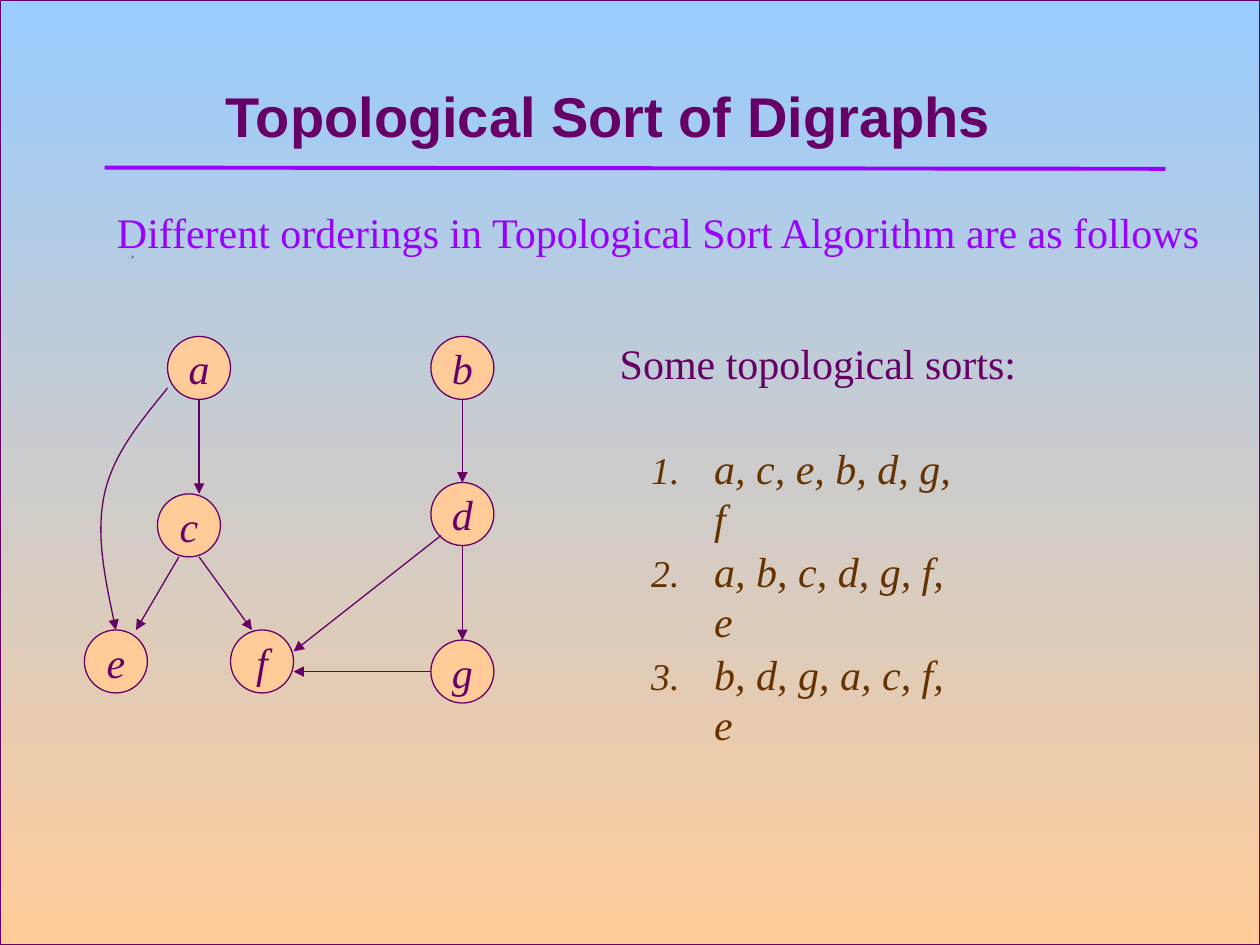
from lxml.etree import SubElement
from pptx import Presentation
from pptx.dml.color import RGBColor
from pptx.enum.shapes import MSO_CONNECTOR, MSO_SHAPE
from pptx.enum.text import MSO_ANCHOR, PP_ALIGN
from pptx.oxml.ns import qn
from pptx.util import Inches, Pt

PURPLE, VIOLET, BROWN = "660066", "9900FF", "663300"
SKY, PEACH = "99CCFF", "FFCC99"
NODE_SIZE = 0.5

NODES = {"a": (1.33, 2.67), "c": (1.25, 3.92), "e": (0.67, 5), "f": (1.83, 5),
         "b": (3.42, 2.67), "d": (3.42, 3.83), "g": (3.42, 5.08)}
EDGES = [
    ((3.67, 3.17), (3.67, 3.83)),  # b to d
    ((3.67, 4.33), (3.67, 5.08)),  # d to g
    ((3.5, 4.25), (2.33, 5.17)),   # d to f
    ((3.42, 5.33), (2.33, 5.33)),  # g to f
    ((1.58, 3.17), (1.58, 3.92)),  # a to c
    ((1.42, 4.42), (1.08, 5)),     # c to e
    ((1.58, 4.42), (2, 5)),        # c to f
]
CURVE_A_TO_E = [(1.33, 3.08), (1.12, 3.34), (0.9, 3.6), (0.83, 3.92),
                (0.76, 4.24), (0.84, 4.62), (0.92, 5)]
SPECKS = [(1.02, 2.03, 0.04, 0.02, "284C70"),
          (1.02, 2.03, 0.03, 0.02, "BFCCD8"),
          (1.63, 1.99, 0.05, 0.03, "BFCCD8")]
SORTS = ["a, c, e, b, d, g, f", "a, b, c, d, g, f, e", "b, d, g, a, c, f, e"]


def rgb(value):
    return RGBColor.from_string(value)


class SlideBuilder:
    text_format = {"name": "Times New Roman", "size": Pt(24)}

    def __init__(self, slide):
        self.s = slide

    def outline(self, line, color=PURPLE, width=0.75):
        line.color.rgb = rgb(color)
        line.width = Pt(width)

    def arrowhead(self, sp):
        ln = sp._element.spPr.find(qn("a:ln"))
        SubElement(ln, qn("a:tailEnd"), type="triangle")

    def shape(self, kind, box, fill=None):
        sp = self.s.shapes.add_shape(kind, *map(Inches, box))
        sp.shadow.inherit = False
        if fill:
            sp.fill.solid()
            sp.fill.fore_color.rgb = rgb(fill)
        return sp

    def backdrop(self, box, colors):
        sp = self.shape(MSO_SHAPE.RECTANGLE, box)
        sp.fill.gradient()
        sp.fill.gradient_angle = 270
        for stop, color in zip(sp.fill.gradient_stops, colors):
            stop.color.rgb = rgb(color)
        self.outline(sp.line)

    def speck(self, box, color):
        self.shape(MSO_SHAPE.OVAL, box, color).line.fill.background()

    def fill_text(self, tf, lines, color, align=PP_ALIGN.LEFT, wrap=False,
                  anchor=MSO_ANCHOR.TOP, **font):
        tf.word_wrap = wrap
        tf.vertical_anchor = anchor
        for i, line in enumerate(lines):
            p = tf.paragraphs[0] if i == 0 else tf.add_paragraph()
            p.alignment = align
            r = p.add_run()
            r.text = line
            r.font.color.rgb = rgb(color)
            for key, value in {**self.text_format, **font}.items():
                setattr(r.font, key, value)

    def text(self, box, lines, color, **style):
        tf = self.s.shapes.add_textbox(*map(Inches, box)).text_frame
        self.fill_text(tf, lines, color, **style)
        return tf

    def numbered(self, box, lines, color, **style):
        for p in self.text(box, lines, color, **style).paragraphs:
            p.space_before = Pt(1.4)
            pPr = p._p.get_or_add_pPr()
            pPr.set("marL", str(Inches(0.5)))
            pPr.set("indent", str(Inches(-0.5)))
            SubElement(SubElement(pPr, qn("a:buClr")), qn("a:srgbClr"), val=color)
            SubElement(pPr, qn("a:buSzPct"), val="90000")
            SubElement(pPr, qn("a:buAutoNum"), type="arabicPeriod")

    def node(self, label, x, y):
        sp = self.shape(MSO_SHAPE.OVAL, (x, y, NODE_SIZE, NODE_SIZE), PEACH)
        self.outline(sp.line)
        self.fill_text(sp.text_frame, [label], PURPLE, align=PP_ALIGN.CENTER,
                       anchor=MSO_ANCHOR.MIDDLE, italic=True)

    def line(self, start, end, color=PURPLE, width=0.75, arrow=True):
        sp = self.s.shapes.add_connector(MSO_CONNECTOR.STRAIGHT,
                                         *map(Inches, start + end))
        self.outline(sp.line, color, width)
        if arrow:
            self.arrowhead(sp)
        SubElement(sp._element.spPr, qn("a:effectLst"))

    def curve(self, points):
        """Draw an arrow along cubic Béziers: a start, then three points each."""
        start, *rest = [(Inches(x), Inches(y)) for x, y in points]
        fb = self.s.shapes.build_freeform(*start)
        fb.add_line_segments(rest, close=False)
        sp = fb.convert_to_shape()
        sp.shadow.inherit = False
        sp.fill.background()
        self.outline(sp.line)
        self.arrowhead(sp)
        track = next(sp._element.iter(qn("a:path")))
        segments = track.findall(qn("a:lnTo"))
        for i in range(0, len(segments), 3):
            bezier = SubElement(track, qn("a:cubicBezTo"))
            for segment in segments[i:i + 3]:
                bezier.append(segment[0])
                track.remove(segment)


def main():
    prs = Presentation()
    prs.slide_width, prs.slide_height = Inches(10), Inches(7.5)
    b = SlideBuilder(prs.slides.add_slide(prs.slide_layouts[6]))

    b.backdrop((0, 0, 10, 7.5), (SKY, PEACH))
    for *box, color in SPECKS:
        b.speck(box, color)

    b.text((0.58, 0.29, 8.5, 1.25), ["Topological Sort of Digraphs"], PURPLE,
           align=PP_ALIGN.CENTER, anchor=MSO_ANCHOR.MIDDLE, wrap=True,
           name="Arial", size=Pt(32), bold=True)
    b.line((0.83, 1.33), (9.25, 1.34), VIOLET, 2.25, arrow=False)
    b.text((0.83, 1.59, 8.84, 0.5),
           ["Different orderings in Topological Sort Algorithm are as follows"],
           VIOLET)

    for label, (x, y) in NODES.items():
        b.node(label, x, y)
    for start, end in EDGES:
        b.line(start, end)
    b.curve(CURVE_A_TO_E)

    b.text((4.82, 2.63, 3.43, 0.5), ["Some topological sorts:"], PURPLE)
    b.numbered((5.07, 3.46, 2.75, 1.3), SORTS, BROWN, italic=True)

    prs.save("out.pptx")


if __name__ == "__main__":
    main()
